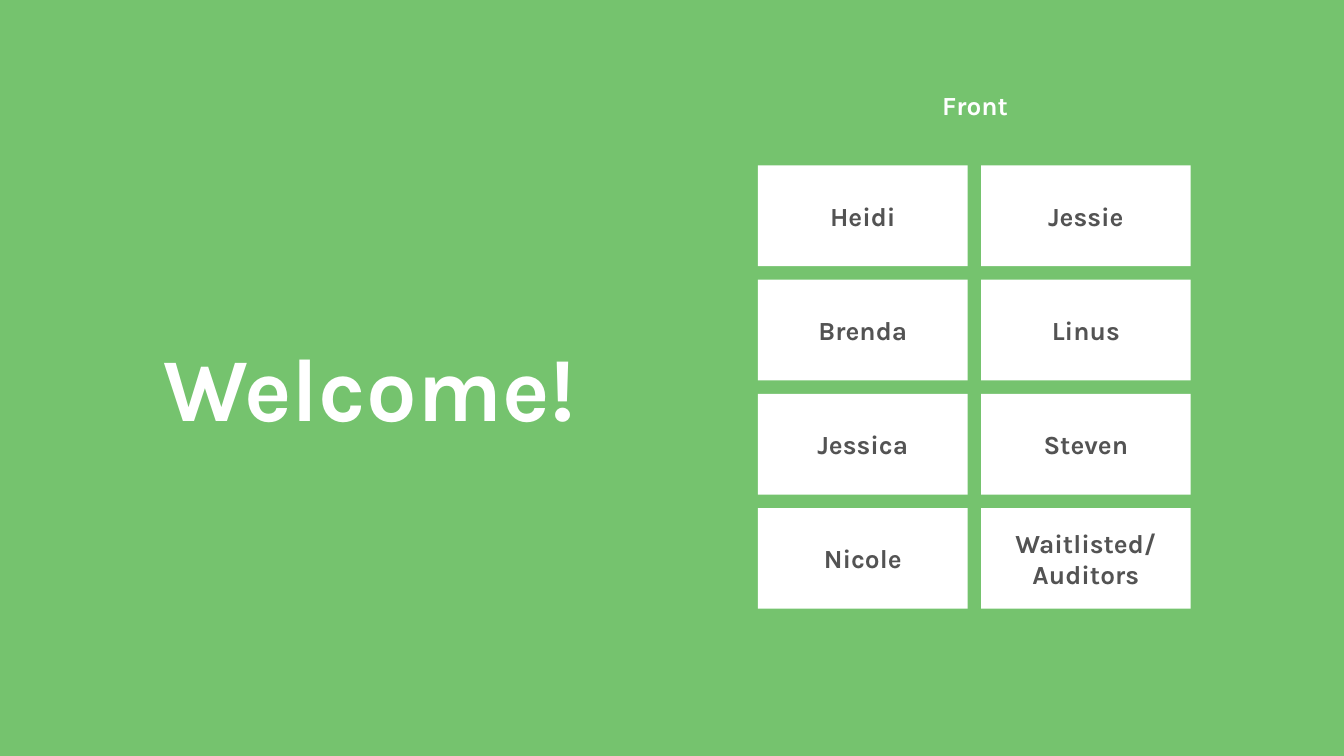
"""Build a welcome slide with a seating chart."""
import pptx
import pptx.dml.color
import pptx.enum.shapes
import pptx.enum.text
import pptx.util

Inches = pptx.util.Inches
ANCHOR = pptx.enum.text.MSO_ANCHOR
COLORS = {"background": "75C36E", "white": "FFFFFF", "name": "535353"}
SEATS = [
    ["Heidi", "Brenda", "Jessica", "Nicole"],
    ["Jessie", "Linus", "Steven", "Waitlisted/\nAuditors"],
]
SEAT_WIDTH, SEAT_HEIGHT, GAP = 1.56, 0.75, 0.1
SEATS_LEFT, SEATS_TOP = 5.64, 1.23


def rgb(name):
    """Return the named color."""
    return pptx.dml.color.RGBColor.from_string(COLORS[name])


def write_text(frame, text, *, size=14, color="white", anchor=ANCHOR.MIDDLE):
    """Fill a text frame with centered bold lines."""
    frame.word_wrap = True
    frame.vertical_anchor = anchor
    frame.margin_left = frame.margin_right = Inches(0.1)
    frame.margin_top = frame.margin_bottom = Inches(0.1)
    frame.text = text
    for line in frame.paragraphs:
        line.alignment = pptx.enum.text.PP_ALIGN.CENTER
        for run in line.runs:
            run.font.name = "Karla"
            run.font.size = pptx.util.Pt(size)
            run.font.bold = True
            run.font.color.rgb = rgb(color)


def add_label(slide, text, left, top, width, height, **style):
    """Add a text box."""
    label = slide.shapes.add_textbox(
        Inches(left), Inches(top), Inches(width), Inches(height))
    write_text(label.text_frame, text, **style)


def add_seat(slide, name, left, top):
    """Add a white seat with a name on it."""
    seat = slide.shapes.add_shape(
        pptx.enum.shapes.MSO_SHAPE.RECTANGLE,
        Inches(left), Inches(top), Inches(SEAT_WIDTH), Inches(SEAT_HEIGHT))
    seat.shadow.inherit = False
    seat.fill.solid()
    seat.fill.fore_color.rgb = rgb("white")
    seat.line.fill.background()
    write_text(seat.text_frame, name, color="name")


def add_seating(slide):
    """Lay out the seats in columns."""
    for column, names in enumerate(SEATS):
        for row, name in enumerate(names):
            add_seat(slide, name,
                     SEATS_LEFT + column * (SEAT_WIDTH + GAP),
                     SEATS_TOP + row * (SEAT_HEIGHT + GAP))


def main():
    """Build and save the slide."""
    deck = pptx.Presentation()
    deck.slide_width = Inches(10)
    deck.slide_height = deck.slide_width * 9 // 16
    slide = deck.slides.add_slide(deck.slide_layouts[6])
    slide.background.fill.solid()
    slide.background.fill.fore_color.rgb = rgb("background")
    add_label(slide, "Welcome!", 0.55, 1.12, 4.4, 3.5, size=48)
    add_label(slide, "Front", 6.13, 0.5, 2.25, 0.5, anchor=ANCHOR.BOTTOM)
    add_seating(slide)
    deck.save("out.pptx")


if __name__ == "__main__":
    main()
